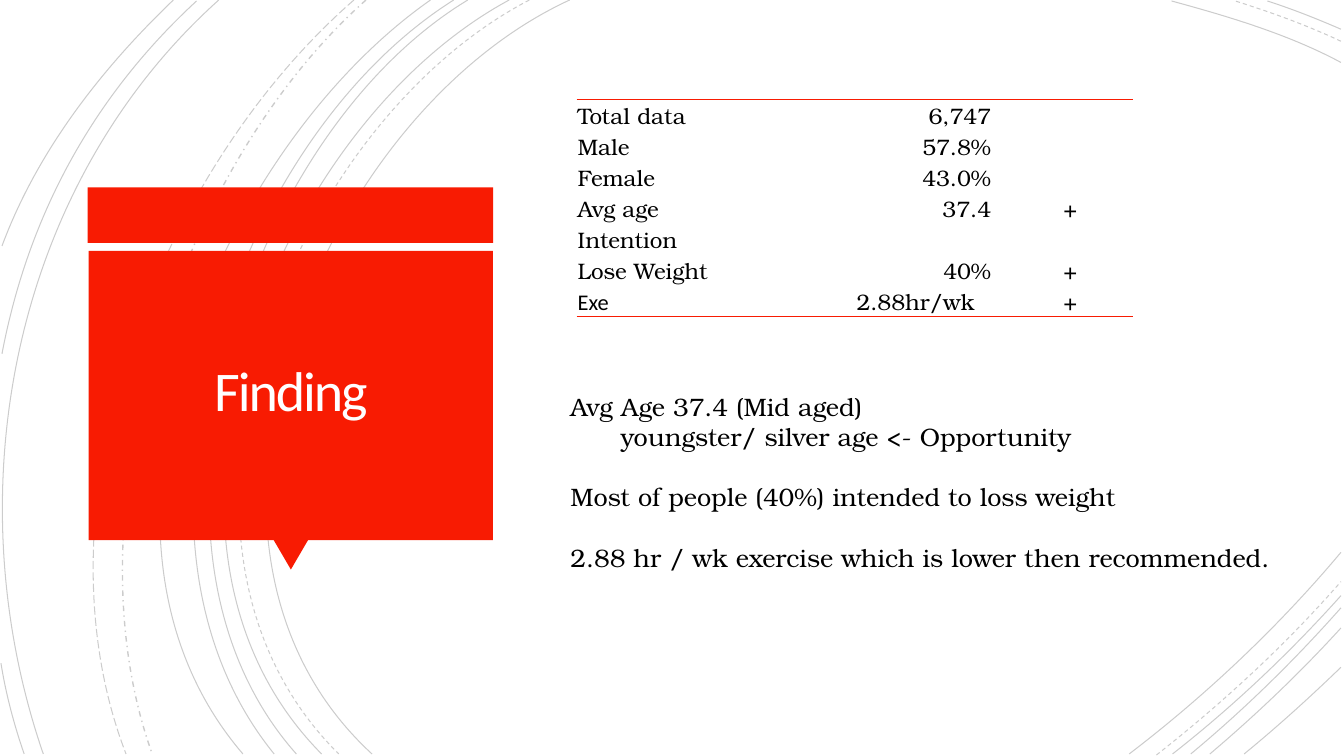
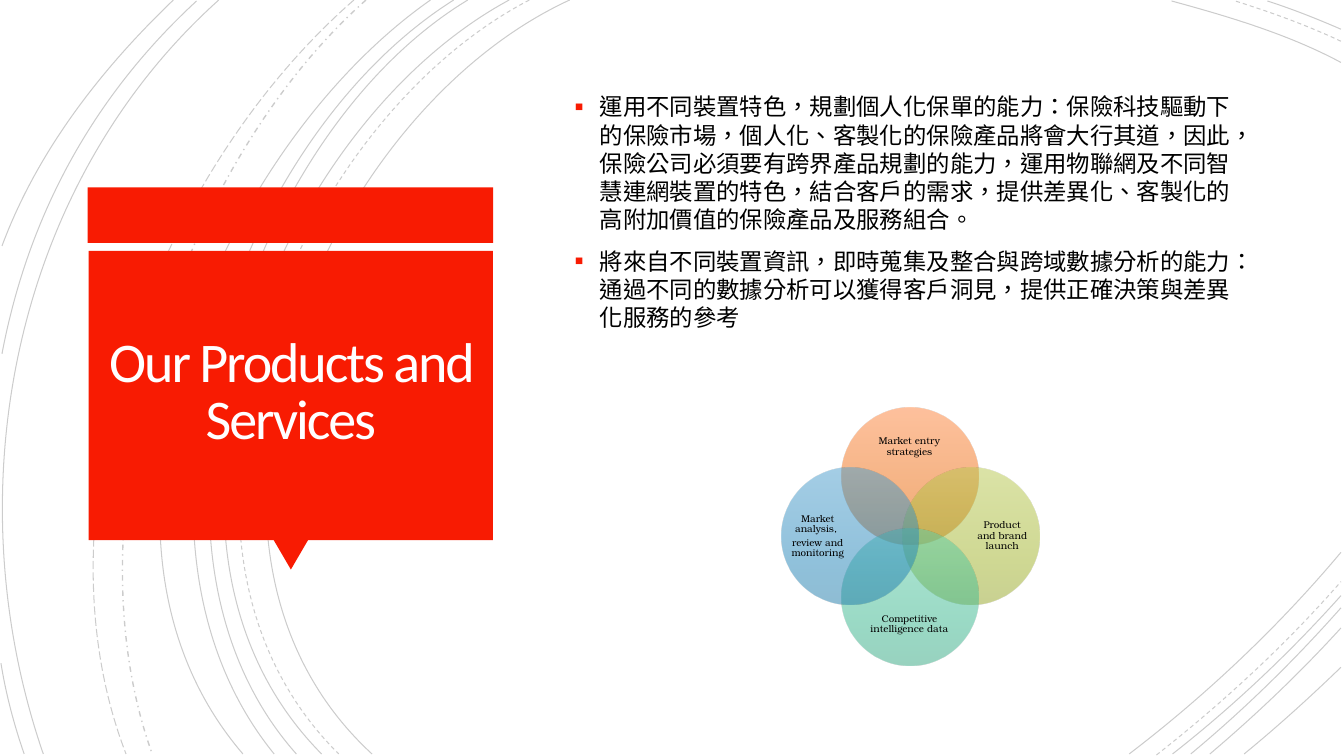
"""Build two slides that share a red title card over sweeping arcs."""
from lxml.etree import SubElement
from pptx import Presentation
from pptx.dml.color import RGBColor
from pptx.enum.dml import MSO_LINE as Dash
from pptx.enum.shapes import MSO_SHAPE as Shape
from pptx.enum.text import MSO_ANCHOR as Anchor, MSO_AUTO_SIZE as Fit, PP_ALIGN as Align
from pptx.oxml.ns import qn
from pptx.util import Inches, Pt

RED = RGBColor(0xF8, 0x1B, 0x02)
BLACK = RGBColor(0, 0, 0)
CREAM = RGBColor(0xFF, 0xFE, 0xFF)
SERIF, SANS = "TeX Gyre Bonum", "Calibri"


def style(para, size, font=SERIF, color=BLACK, align=Align.LEFT):
    para.alignment = align
    for run in para.runs:
        run.font.size = Pt(size)
        run.font.name = font
        run.font.color.rgb = color


def add_text(slide, box, lines, size, align=Align.LEFT):
    frame = slide.shapes.add_textbox(*map(Inches, box)).text_frame
    frame.word_wrap = True
    frame.text = "\n".join(lines)
    for para in frame.paragraphs:
        style(para, size, align=align)
    return frame


deck = Presentation()
deck.slide_width, deck.slide_height = Inches(13.33), Inches(7.5)
layout = deck.slide_layouts[5]
for holder in list(layout.placeholders):
    if holder.placeholder_format.idx:
        layout.shapes.element.remove(holder.element)

slides = []
for text in ("Finding", "Our Products and Services"):
    slide = deck.slides.add_slide(layout)
    title = slide.shapes.title
    title.left, title.top = Inches(0.97), Inches(2.56)
    title.width, title.height = Inches(3.83), Inches(2.7)
    frame = title.text_frame
    frame.text = text
    frame.word_wrap = True
    frame.auto_size = Fit.NONE
    frame.vertical_anchor = Anchor.MIDDLE
    frame.margin_left = frame.margin_right = Inches(0.1)
    frame.margin_top = frame.margin_bottom = Inches(0.1)
    para = frame.paragraphs[0]
    para.line_spacing = 0.85
    style(para, 40, SANS, CREAM, Align.CENTER)
    para.runs[0]._r.get_or_add_rPr().set("spc", "-150")
    slides.append(slide)
finding, offer = slides

ARCS = [
    (Dash.SOLID, 0.75, [
        (5.65, 0, 3.15, 1.15, 1.43, 5.4, 3.69, 7.48),
        (13.3, 0.62, 12.78, 0.34, 12.17, 0.16, 11.62, 0.01),
        (11.2, 7.48, 11.96, 6.9, 12.68, 6.22, 13.3, 5.48),
        (5.05, 0, 2.7, 1.27, 1.1, 5.37, 3.19, 7.48),
        (13.3, 0.29, 13.07, 0.19, 12.82, 0.09, 12.57, 0.01),
        (11.63, 7.48, 12.23, 7.01, 12.79, 6.48, 13.3, 5.91),
        (4.64, 0, 2.44, 1.33, 1.1, 5.41, 2.94, 7.48),
        (11.81, 7.48, 12.34, 7.04, 12.84, 6.55, 13.3, 6.03),
        (4.5, 0, 2.31, 1.38, 0.97, 5.33, 2.72, 7.48),
        (12, 7.48, 12.46, 7.09, 12.9, 6.67, 13.3, 6.23),
        (4.27, 0, 2.17, 1.47, 0.53, 5.29, 2.41, 7.48),
        (12.34, 7.48, 12.67, 7.21, 12.99, 6.92, 13.3, 6.62),
        (2.17, 0, 0.11, 1.85, -0.46, 4.9, 0.43, 7.48),
        (1.95, 0.01, 0.92, 0.96, 0.28, 2.14, 0.02, 3.51),
        (0.01, 6.58, 0.06, 6.89, 0.14, 7.19, 0.24, 7.48),
        (1.72, 0, 1, 0.69, 0.37, 1.5, 0.02, 2.44),
    ]),
    (Dash.DASH, 0.75, [
        (5.25, 0, 2.85, 1.25, 1.23, 5.37, 3.36, 7.48),
        (13.3, 0.41, 12.96, 0.25, 12.6, 0.12, 12.25, 0.01),
        (11.47, 7.49, 12.12, 6.98, 12.75, 6.4, 13.3, 5.77),
    ]),
    (Dash.DASH_DOT, 1, [(3.63, 0, 1.76, 1.66, 0.65, 5.09, 1.51, 7.48)]),
    (Dash.LONG_DASH, 0.75, [(3.51, 0, 1.57, 1.69, 0.29, 4.99, 1.25, 7.48)]),
]
sweep = finding.shapes.add_group_shape()
for dash, width, curves in ARCS:
    for curve in curves:
        spots = [Inches(v) for v in curve]
        points = list(zip(spots[::2], spots[1::2]))
        pen = sweep.shapes.build_freeform(*points[0])
        pen.add_line_segments(points[1:], close=False)
        arc = pen.convert_to_shape()
        track = next(arc.element.iter(qn("a:path")))
        bend = SubElement(track, qn("a:cubicBezTo"))
        for leg in track.findall(qn("a:lnTo")):
            bend.append(leg[0])
            track.remove(leg)
        arc.shadow.inherit = False
        arc.fill.background()
        arc.line.color.rgb = BLACK
        arc.line.width = Pt(width)
        arc.line.dash_style = dash
        for tint in arc.element.iter(qn("a:srgbClr")):
            SubElement(tint, qn("a:alpha")).set("val", "20000")

badge = finding.shapes.add_group_shape()
for kind, box, turn in (
    (Shape.RECTANGLE, (0.87, 1.86, 4.02, 0.55), 0),
    (Shape.ISOSCELES_TRIANGLE, (2.71, 5.35, 0.35, 0.3), 180),
    (Shape.RECTANGLE, (0.88, 2.49, 4.01, 2.87), 0),
):
    card = badge.shapes.add_shape(kind, *map(Inches, box))
    card.shadow.inherit = False
    card.fill.solid()
    card.fill.fore_color.rgb = RED
    card.line.fill.background()
    card.rotation = turn
for group in (sweep, badge):
    layout.shapes.element.append(group.element)

ROWS = [
    (0.29, "Total data", "6,747", "", ""),
    (0.27, "Male", "57.8%", "", ""),
    (0.27, "Female", "43.0%", "", ""),
    (0.27, "Avg age", "37.4", "", "+"),
    (0.27, "Intention", "", "", ""),
    (0.31, "Lose Weight", "40%", "", "+"),
    (0.27, "Exe", "2.88hr/wk", "", "+"),
]
LAST = len(ROWS) - 1
holder = finding.shapes.add_table(len(ROWS), 4, Inches(5.72), Inches(0.99),
                                  Inches(5.51), Inches(1.98))
for mark in holder.element.iter(qn("a:tableStyleId")):
    mark.text = "{2D5ABB26-0587-4C30-8999-92F81FD0307C}"
table = holder.table
table.first_row = table.horz_banding = False
for col, width in zip(table.columns, (1.9, 2.22, 0.7, 0.7)):
    col.width = Inches(width)
for r, (height, *row) in enumerate(ROWS):
    table.rows[r].height = Inches(height)
    for c, text in enumerate(row):
        cell = table.cell(r, c)
        cell.text = text
        cell.vertical_anchor = Anchor.BOTTOM
        cell.margin_left = cell.margin_right = Inches(0.01)
        cell.margin_top = Inches(0.01) if text else 0
        cell.margin_bottom = 0
        para = cell.text_frame.paragraphs[0]
        align = Align.LEFT if c != 1 else Align.CENTER if r == LAST else Align.RIGHT
        style(para, 16, SANS if text == "Exe" else SERIF, align=align)
        if not text:
            SubElement(para._p, qn("a:endParaRPr")).set("sz", "1800")
        props = cell._tc.get_or_add_tcPr()
        for side in "LRTB":
            edge = SubElement(props, qn("a:ln" + side), w=str(Pt(1)), cmpd="sng")
            if (side, r) in (("T", 0), ("B", LAST)):
                fill = SubElement(edge, qn("a:solidFill"))
                SubElement(fill, qn("a:srgbClr"), val=str(RED))
                SubElement(edge, qn("a:prstDash"), val="solid")
            else:
                SubElement(edge, qn("a:noFill"))
        cell.fill.background()
table.cell(LAST, 1).merge(table.cell(LAST, 2))

notes = add_text(finding, (5.56, 3.83, 7.48, 1.92), [
    "Avg Age 37.4 (Mid aged)",
    "youngster/ silver age <- Opportunity",
    "Most of people (40%) intended to loss weight",
    "2.88 hr / wk exercise which is lower then recommended.",
], 18).paragraphs
notes[1]._p.get_or_add_pPr().set("marL", str(Inches(0.5)))
for para in notes[2:]:
    para.space_before = Pt(21.5)

body = add_text(offer, (5.6, 0.87, 6.85, 2.61), [
    "運用不同裝置特色，規劃個人化保單的能力：保險科技驅動下的保險市場，個人化、客製化的保險產品將會大行其道，"
    "因此，保險公司必須要有跨界產品規劃的能力，運用物聯網及不同智慧連網裝置的特色，結合客戶的需求，"
    "提供差異化、客製化的高附加價值的保險產品及服務組合。",
    "將來自不同裝置資訊，即時蒐集及整合與跨域數據分析的能力：通過不同的數據分析可以獲得客戶洞見，"
    "提供正確決策與差異化服務的參考",
], 16.7).paragraphs
body[1].space_before = Pt(10)
for para in body:
    para.line_spacing = Pt(20)
    para.runs[0]._r.get_or_add_rPr().set("lang", "zh-TW")
    props = para._p.get_or_add_pPr()
    props.set("marL", str(Inches(0.25)))
    props.set("indent", str(-Inches(0.25)))
    SubElement(SubElement(props, qn("a:buClr")), qn("a:srgbClr"), val=str(RED))
    SubElement(props, qn("a:buSzPct"), val="110000")
    SubElement(props, qn("a:buFont"), typeface=SANS)
    SubElement(props, qn("a:buChar"), char="▪")

SIZE, MID_X, MID_Y, REACH = 1.36, 9.03, 5.32, 0.6
VENN = [
    (0, -1, ("FF833B", "E96300", "D55A00"), (8.5, 4.22, 1.04, 0.43),
     ["Market entry strategies"]),
    (1, 0, ("B9C94F", "A1B327", "94A424"), (9.68, 4.8, 0.52, 1.04),
     ["Product and brand launch"]),
    (0, 1, ("5CCEA8", "35B68D", "31A781"), (8.5, 5.98, 1.04, 0.43),
     ["Competitive intelligence data"]),
    (-1, 0, ("4A9ECE", "2185B9", "1E79A9"), (7.85, 4.8, 0.52, 1.04),
     ["Market analysis, ", "review and monitoring"]),
]
for dx, dy, tints, box, lines in VENN:
    disc = offer.shapes.add_shape(
        Shape.OVAL, Inches(MID_X + dx * REACH - SIZE / 2),
        Inches(MID_Y + dy * REACH - SIZE / 2), Inches(SIZE), Inches(SIZE))
    disc.shadow.inherit = False
    disc.line.fill.background()
    disc.fill.gradient()
    disc.fill.gradient_angle = 270
    stops = next(disc.element.iter(qn("a:gsLst")))
    for stop in list(stops):
        stops.remove(stop)
    for pos, tint in zip((0, 69000, 100000), tints):
        stop = SubElement(stops, qn("a:gs"), pos=str(pos))
        color = SubElement(stop, qn("a:srgbClr"), val=tint)
        SubElement(color, qn("a:alpha"), val="50000")
    label = add_text(offer, box, lines, 7, Align.CENTER)
    label.vertical_anchor = Anchor.MIDDLE
    label.margin_left = label.margin_right = 0
    label.margin_top = label.margin_bottom = 0
    for para in label.paragraphs:
        para.line_spacing = 0.9
        para.space_after = Pt(2)

deck.save("out.pptx")
